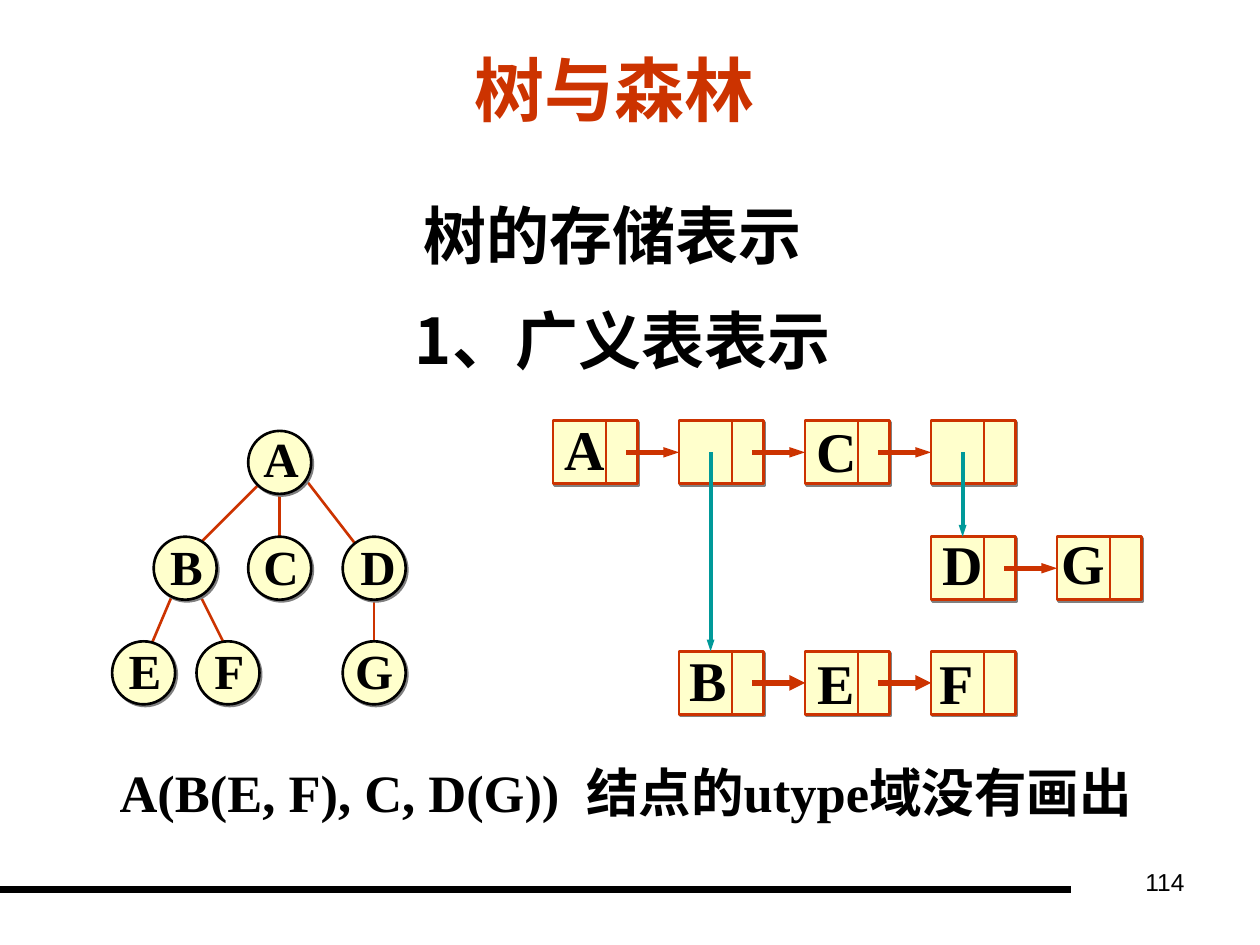
import pptx
import pptx.util
import pptx.dml.color
import pptx.enum.shapes
import pptx.enum.text
import pptx.oxml
import pptx.oxml.ns

Inches = pptx.util.Inches
Pt = pptx.util.Pt
color = pptx.dml.color.RGBColor.from_string
shapes = pptx.enum.shapes.MSO_SHAPE
align = pptx.enum.text.PP_ALIGN
anchors = pptx.enum.text.MSO_ANCHOR
namespace = pptx.oxml.ns.nsdecls("a")

presentation = pptx.Presentation()
presentation.slide_width = Inches(10)
presentation.slide_height = Inches(7.5)
slide = presentation.slides.add_slide(presentation.slide_layouts[6])


def add_text(text, left, top, width, height, size=28, font="Times New Roman", fill="000000",
             bold=True, alignment=align.CENTER, anchor=anchors.TOP, wrap=True):
    box = slide.shapes.add_textbox(Inches(left), Inches(top), Inches(width), Inches(height))
    box.text_frame.word_wrap = wrap
    box.text_frame.vertical_anchor = anchor
    paragraph = box.text_frame.paragraphs[0]
    paragraph.alignment = alignment
    run = paragraph.add_run()
    run.text = text
    run.font.size = Pt(size)
    run.font.name = font
    run.font.bold = bold
    run.font.color.rgb = color(fill)
    run.font._element.append(pptx.oxml.parse_xml(f'<a:ea {namespace} typeface="Noto Sans CJK JP"/>'))


def add_line(x1, y1, x2, y2, stroke="CC3300", weight=1.5, head=None):
    line = slide.shapes.add_connector(pptx.enum.shapes.MSO_CONNECTOR.STRAIGHT,
                                      Inches(x1), Inches(y1), Inches(x2), Inches(y2))
    line.line.color.rgb = color(stroke)
    line.line.width = Pt(weight)
    if head:
        line.line._get_or_add_ln().append(pptx.oxml.parse_xml(
            f'<a:tailEnd {namespace} type="triangle" w="{head}" len="med"/>'))
    line._element.spPr.append(pptx.oxml.parse_xml(f"<a:effectLst {namespace}/>"))


add_line(0, 7.06, 8.5, 7.06, stroke="000000", weight=4.5)
add_text("114", 7.17, 6.83, 2.33, 0.52, size=14, font="Arial", bold=False, alignment=align.RIGHT)
add_text("树与森林", 2.91, 0.32, 3.94, 0.76, size=40, font="Arial", fill="CC3300", anchor=anchors.MIDDLE)
add_text("树的存储表示", 1.61, 1.51, 6.5, 0.7, size=36, font="Noto Sans CJK JP")
add_text("1、广义表表示", 1.69, 2.34, 6.5, 0.7, size=36, font="Noto Sans CJK JP")
add_text("A(B(E, F), C, D(G))  结点的utype域没有画出", 0.59, 5.98, 8.75, 0.6, size=30)

tree_edges = [
    (2.97, 4.67, 2.97, 5.26),
    (2.39, 3.76, 2.97, 4.51),
    (1.56, 4.67, 1.81, 5.17),
    (1.39, 4.67, 1.14, 5.26),
    (2.06, 3.84, 1.56, 4.34),
    (2.22, 3.84, 2.22, 4.34),
]
for edge in tree_edges:
    add_line(*edge)

tree_nodes = [(1.97, 3.42), (1.22, 4.26), (1.97, 4.26), (2.72, 4.26), (0.89, 5.09), (1.56, 5.09), (2.72, 5.09)]
list_rows = [(4.39, 3.34, 4, "sm"), (7.39, 4.26, 2, "sm"), (5.39, 5.17, 3, "med")]
list_cells = [(left + column, top) for left, top, count, head in list_rows for column in range(count)]

for kind, width, stroke, positions in [
    (shapes.OVAL, 0.5, "000000", tree_nodes),
    (shapes.RECTANGLE, 0.67, "CC3300", list_cells),
]:
    for left, top in positions:
        shape = slide.shapes.add_shape(kind, Inches(left), Inches(top), Inches(width), Inches(0.5))
        shape.fill.solid()
        shape.fill.fore_color.rgb = color("FFFFCC")
        shape.line.color.rgb = color(stroke)
        shape.line.width = Pt(1.5)
        shape._element.spPr.append(pptx.oxml.parse_xml(
            f'<a:effectLst {namespace}><a:outerShdw dist="{Pt(1.4)}" dir="2700000" algn="ctr">'
            '<a:srgbClr val="808080"/></a:outerShdw></a:effectLst>'))

for left, top in list_cells:
    add_line(left + 0.42, top, left + 0.42, top + 0.5)
for left, top, count, head in list_rows:
    for column in range(count - 1):
        start = left + column + 0.58
        add_line(start, top + 0.25, start + 0.42, top + 0.25, weight=3, head=head)
for x, bottom in [(5.64, 5.17), (7.64, 4.26)]:
    add_line(x, 3.59, x, bottom, stroke="009999", weight=2.25, head="sm")

tree_labels = [("A", 1.98, 3.35), ("B", 1.23, 4.21), ("C", 1.98, 4.21), ("D", 2.75, 4.21),
               ("E", 0.9, 5.03), ("F", 1.57, 5.03), ("G", 2.72, 5.03)]
list_labels = [("A", 4.38, 3.24), ("C", 6.38, 3.25), ("D", 7.38, 4.15), ("G", 8.33, 4.14),
               ("B", 5.37, 5.07), ("E", 6.39, 5.09), ("F", 7.34, 5.09)]
for labels, size, height in [(tree_labels, 28, 0.57), (list_labels, 32, 0.64)]:
    for letter, left, top in labels:
        add_text(letter, left, top, 0.5, height, size=size, anchor=anchors.MIDDLE, wrap=False)

presentation.save("out.pptx")
